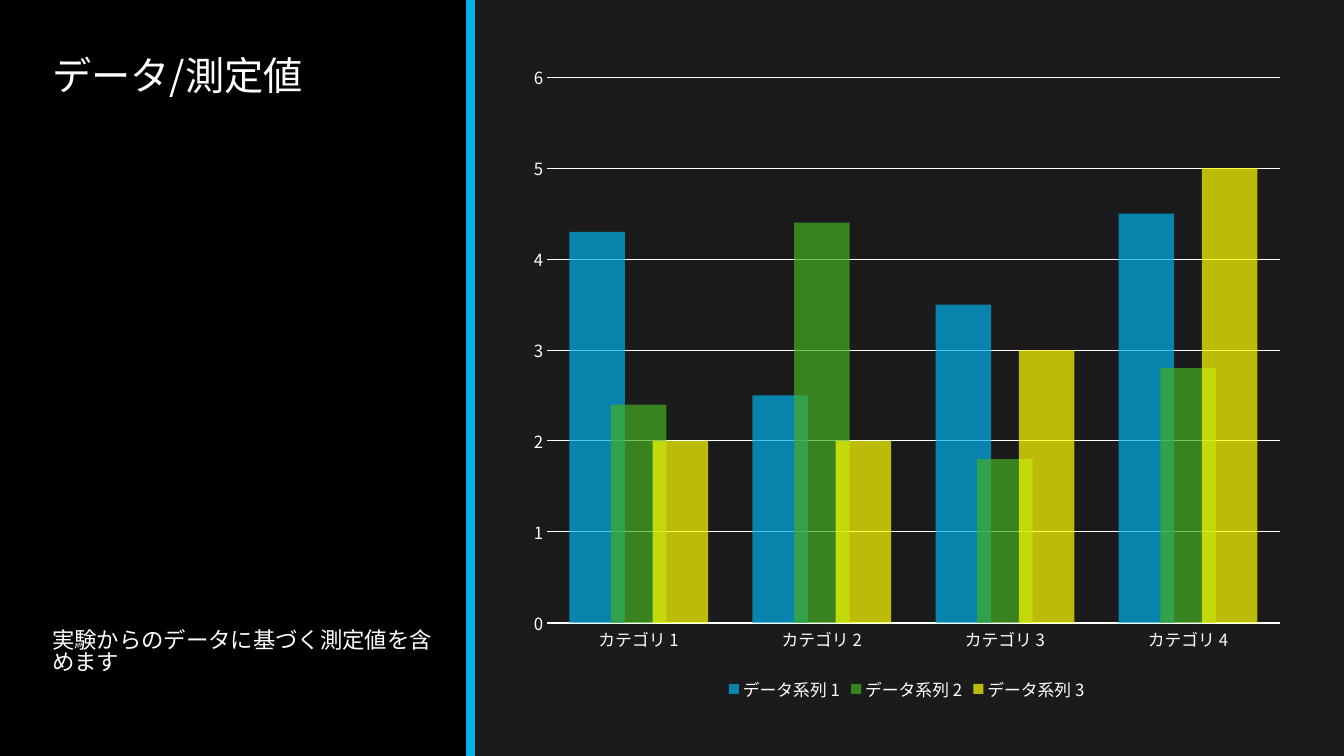
from dataclasses import dataclass

from lxml.etree import SubElement
from pptx import Presentation
from pptx.chart.data import CategoryChartData
from pptx.dml.color import RGBColor
from pptx.enum.chart import XL_CHART_TYPE, XL_LEGEND_POSITION, XL_TICK_MARK
from pptx.enum.shapes import MSO_CONNECTOR, MSO_SHAPE
from pptx.enum.text import MSO_ANCHOR, PP_ALIGN
from pptx.oxml.ns import qn
from pptx.util import Cm, Pt


@dataclass(frozen=True)
class Theme:
    font: str = "Noto Sans CJK JP"
    page: RGBColor = RGBColor.from_string("1B1B1B")
    panel: RGBColor = RGBColor.from_string("000000")
    text: RGBColor = RGBColor.from_string("FFFFFF")
    accent: RGBColor = RGBColor.from_string("00B0EA")
    green: RGBColor = RGBColor.from_string("45AE22")
    yellow: RGBColor = RGBColor.from_string("FFFF00")
    bar_opacity: int = 70
    title_size: Pt = Pt(28)
    body_size: Pt = Pt(16)
    chart_size: Pt = Pt(12)
    divider_width: Pt = Pt(6)
    axis_width: Pt = Pt(1.25)
    grid_width: Pt = Pt(0.75)


@dataclass(frozen=True)
class Box:
    left: Cm
    top: Cm
    width: Cm
    height: Cm

    def bounds(self):
        return self.left, self.top, self.width, self.height


THEME = Theme()
CATEGORIES = [f"カテゴリ {number}" for number in range(1, 5)]
SERIES = [
    ("データ系列 1", (4.3, 2.5, 3.5, 4.5), THEME.accent),
    ("データ系列 2", (2.4, 4.4, 1.8, 2.8), THEME.green),
    ("データ系列 3", (2, 2, 3, 5), THEME.yellow),
]


def style_font(font, size):
    font.size = size
    font.name = THEME.font
    font.color.rgb = THEME.text
    SubElement(font._element, qn("a:ea"), typeface=THEME.font)


def style_line(line, color, width):
    line.color.rgb = color
    line.width = width


def add_text(page, box, text, size, anchor, spacing):
    frame = page.shapes.add_textbox(*box.bounds()).text_frame
    frame.word_wrap = True
    frame.vertical_anchor = anchor
    para = frame.paragraphs[0]
    para.text = text
    para.alignment = PP_ALIGN.LEFT
    para.line_spacing = spacing
    style_font(para.font, size)


def add_side_panel(page, box):
    panel = page.shapes.add_shape(MSO_SHAPE.RECTANGLE, *box.bounds())
    panel.shadow.inherit = False
    panel.fill.solid()
    panel.fill.fore_color.rgb = THEME.panel
    panel.line.fill.background()

    right = box.left + box.width
    divider = page.shapes.add_connector(
        MSO_CONNECTOR.STRAIGHT, right, box.top, right, box.top + box.height
    )
    style_line(divider.line, THEME.accent, THEME.divider_width)
    SubElement(divider._element.spPr, qn("a:effectLst"))

    left = box.left + Cm(1.07)
    title_box = Box(left, box.top + Cm(1.3), Cm(9.73), Cm(4.45))
    body_box = Box(left, box.top + Cm(10.41), Cm(10.26), Cm(6.73))
    add_text(page, title_box, "データ/測定値", THEME.title_size, MSO_ANCHOR.TOP, 0.9)
    add_text(page, body_box, "実験からのデータに基づく測定値を含めます",
             THEME.body_size, MSO_ANCHOR.BOTTOM, 0.83)


def add_measurement_chart(page, box):
    data = CategoryChartData()
    data.categories = CATEGORIES
    for name, values, _ in SERIES:
        data.add_series(name, values)
    chart = page.shapes.add_chart(
        XL_CHART_TYPE.COLUMN_CLUSTERED, *box.bounds(), data
    ).chart
    chart.has_title = False
    style_font(chart.font, THEME.chart_size)

    chart.has_legend = True
    chart.legend.position = XL_LEGEND_POSITION.BOTTOM
    chart.legend.include_in_layout = False

    plot = chart.plots[0]
    plot.vary_by_categories = False
    plot.gap_width = 80
    plot.overlap = 25
    for series, (_, _, color) in zip(plot.series, SERIES):
        fill = series.format.fill
        fill.solid()
        fill.fore_color.rgb = color
        for tint in series.format._element.iter(qn("a:srgbClr")):
            SubElement(tint, qn("a:alpha"), val=str(THEME.bar_opacity * 1000))

    for axis in (chart.category_axis, chart.value_axis):
        axis.major_tick_mark = XL_TICK_MARK.NONE
        axis.minor_tick_mark = XL_TICK_MARK.NONE
    style_line(chart.category_axis.format.line, THEME.text, THEME.axis_width)

    scale = chart.value_axis
    scale.minimum_scale = 0
    scale.maximum_scale = 6
    scale.major_unit = 1
    scale.format.line.fill.background()
    scale.has_major_gridlines = True
    style_line(scale.major_gridlines.format.line, THEME.text, THEME.grid_width)


def build_measurement_slide(deck):
    page = deck.slides.add_slide(deck.slide_layouts[6])
    page.background.fill.solid()
    page.background.fill.fore_color.rgb = THEME.page
    add_side_panel(page, Box(Cm(0), Cm(0), Cm(11.86), deck.slide_height))
    add_measurement_chart(page, Box(Cm(13.06), Cm(1.3), Cm(19.58), Cm(16.48)))


deck = Presentation()
deck.slide_width = Cm(33.87)
deck.slide_height = Cm(19.05)
build_measurement_slide(deck)
deck.save("out.pptx")
